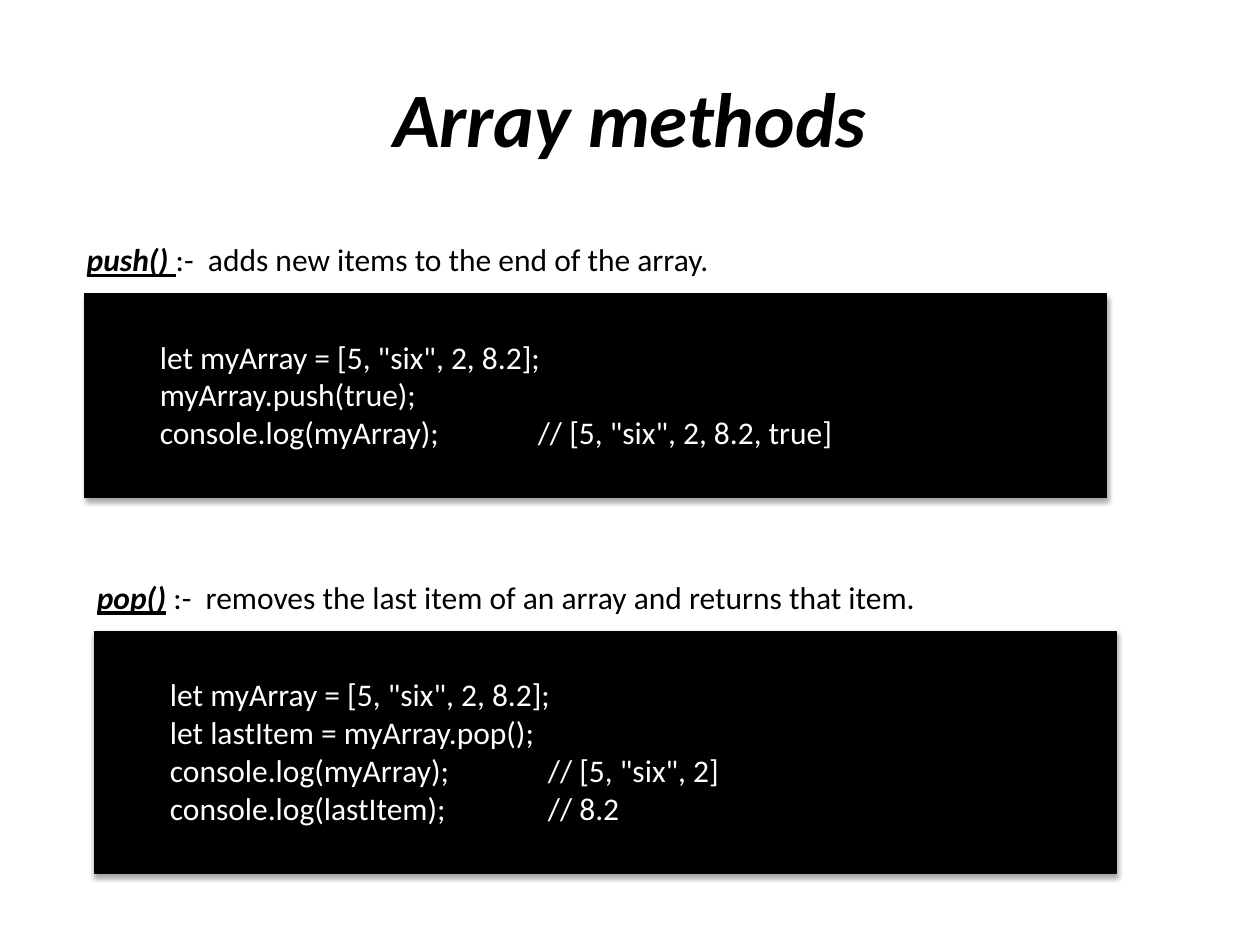
from dataclasses import dataclass

import pptx
import pptx.dml.color
import pptx.enum.shapes
import pptx.enum.text
import pptx.oxml
import pptx.oxml.ns
import pptx.slide
import pptx.text.text
import pptx.util
from pptx.util import Inches

FONT = "Calibri"
BLACK = "000000"
WHITE = "FFFFFF"
CODE_WIDTH = 8.11
CAPTION_RISE = 0.47
SHADOW = (
    f'<a:outerShdw {pptx.oxml.ns.nsdecls("a")} blurRad="40000" dist="23000" '
    'dir="5400000" rotWithShape="0"><a:srgbClr val="000000">'
    '<a:alpha val="35000"/></a:srgbClr></a:outerShdw>'
)


@dataclass
class Example:
    method: str
    description: str
    caption_left: float
    caption_width: float
    code_left: float
    code_top: float
    code_height: float
    code: list[str]


EXAMPLES = [
    Example(
        "push() ", ":-  adds new items to the end of the array.",
        0.59, 6.46, 0.67, 2.33, 1.62,
        [
            'let myArray = [5, "six", 2, 8.2];',
            "myArray.push(true);",
            'console.log(myArray);\t\t// [5, "six", 2, 8.2, true]',
        ],
    ),
    Example(
        "pop()", " :-  removes the last item of an array and returns that item.",
        0.67, 7.95, 0.75, 5.01, 1.92,
        [
            'let myArray = [5, "six", 2, 8.2];',
            "let lastItem = myArray.pop();",
            'console.log(myArray);\t\t// [5, "six", 2]',
            "console.log(lastItem);\t\t// 8.2",
        ],
    ),
]


def color(value: str) -> pptx.dml.color.RGBColor:
    return pptx.dml.color.RGBColor.from_string(value)


def format_run(run: pptx.text.text._Run, size: int, value: str, strong: bool = False) -> None:
    run.font.name = FONT
    run.font.size = pptx.util.Pt(size)
    run.font.color.rgb = color(value)
    run.font.bold = strong
    run.font.italic = strong


def add_text_frame(
    slide: pptx.slide.Slide, left: float, top: float, width: float, height: float
) -> pptx.text.text.TextFrame:
    box = slide.shapes.add_textbox(Inches(left), Inches(top), Inches(width), Inches(height))
    box.text_frame.word_wrap = True
    return box.text_frame


def add_title(slide: pptx.slide.Slide, title: str) -> None:
    text_frame = add_text_frame(slide, 0.5, 0.3, 9, 1.25)
    text_frame.text = title
    text_frame.vertical_anchor = pptx.enum.text.MSO_ANCHOR.MIDDLE
    paragraph = text_frame.paragraphs[0]
    paragraph.alignment = pptx.enum.text.PP_ALIGN.CENTER
    format_run(paragraph.runs[0], 44, BLACK, strong=True)


def add_caption(slide: pptx.slide.Slide, example: Example) -> None:
    text_frame = add_text_frame(
        slide, example.caption_left, example.code_top - CAPTION_RISE, example.caption_width, 0.4
    )
    paragraph = text_frame.paragraphs[0]
    method = paragraph.add_run()
    method.text = example.method
    format_run(method, 18, BLACK, strong=True)
    method.font.underline = True
    description = paragraph.add_run()
    description.text = example.description
    format_run(description, 18, BLACK)


def add_code(slide: pptx.slide.Slide, example: Example) -> None:
    shape = slide.shapes.add_shape(
        pptx.enum.shapes.MSO_SHAPE.RECTANGLE,
        Inches(example.code_left), Inches(example.code_top),
        Inches(CODE_WIDTH), Inches(example.code_height),
    )
    shape.fill.solid()
    shape.fill.fore_color.rgb = color(BLACK)
    shape.line.color.rgb = color(BLACK)
    shape.line.width = pptx.util.Pt(0.75)
    shape.shadow.inherit = False
    effects = shape._element.spPr.find(pptx.oxml.ns.qn("a:effectLst"))
    effects.append(pptx.oxml.parse_xml(SHADOW))

    text_frame = shape.text_frame
    text_frame.word_wrap = True
    text_frame.vertical_anchor = pptx.enum.text.MSO_ANCHOR.TOP
    text_frame.margin_top = Inches(0.35)
    text_frame.text = "\n".join(example.code)
    for paragraph in text_frame.paragraphs:
        paragraph.alignment = pptx.enum.text.PP_ALIGN.LEFT
        paragraph._p.get_or_add_pPr().set("marL", str(Inches(0.5)))
        format_run(paragraph.runs[0], 18, WHITE)


def main() -> None:
    presentation = pptx.Presentation()
    presentation.slide_width = Inches(10)
    presentation.slide_height = Inches(7.5)
    slide = presentation.slides.add_slide(presentation.slide_layouts[6])
    add_title(slide, "Array methods")
    for example in EXAMPLES:
        add_caption(slide, example)
        add_code(slide, example)
    presentation.save("out.pptx")


if __name__ == "__main__":
    main()
